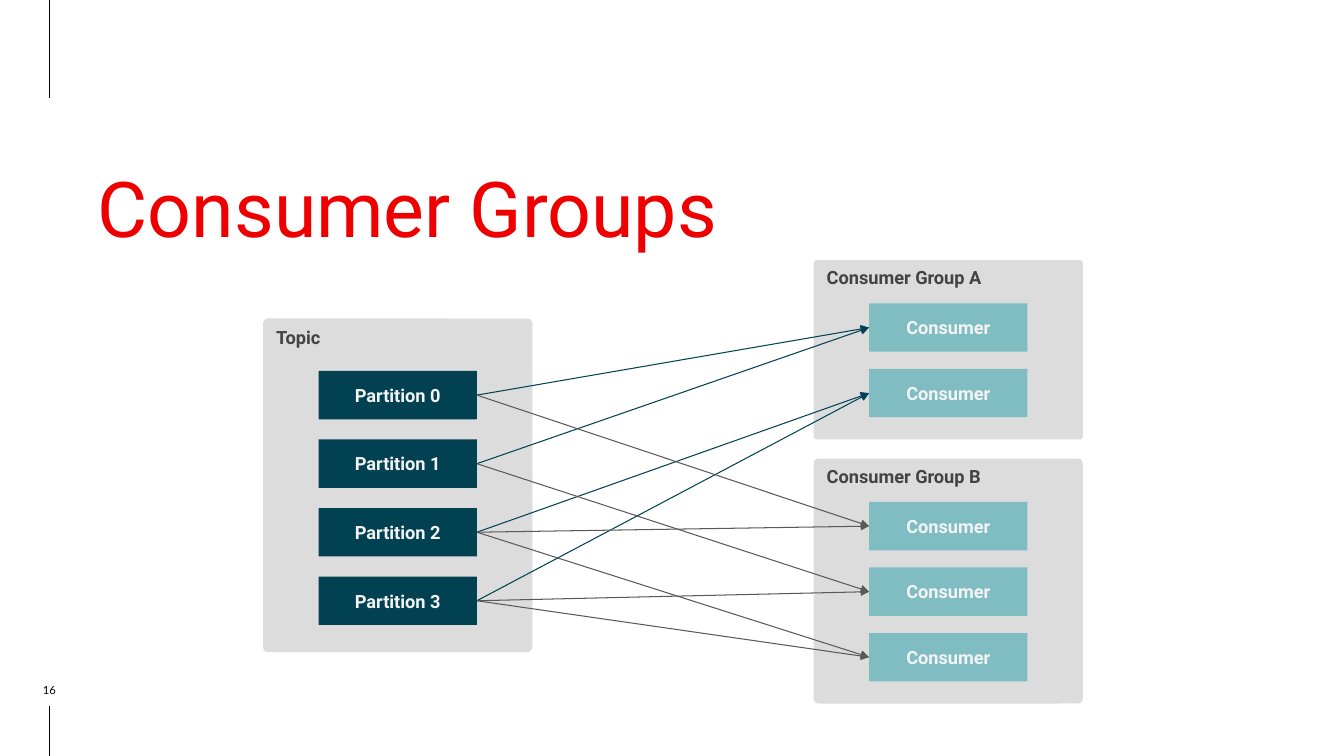
from dataclasses import dataclass

from lxml.etree import SubElement
from pptx import Presentation
from pptx.dml.color import RGBColor
from pptx.enum.shapes import MSO_CONNECTOR as Connector, MSO_SHAPE as Shape
from pptx.enum.text import MSO_ANCHOR as Anchor, PP_ALIGN as Align
from pptx.oxml.ns import qn
from pptx.util import Inches, Pt


@dataclass(frozen=True)
class Theme:
    title: str = "EE0000"
    black: str = "000000"
    panel: str = "DCDCDC"
    label: str = "434343"
    block_text: str = "F3F3F3"
    partition: str = "014152"
    consumer: str = "80BDC3"
    group_a_arrow: str = "004153"
    group_b_arrow: str = "595959"
    font: str = "Roboto"
    number_font: str = "Lato"
    title_size: int = 55
    body_size: int = 13
    number_size: int = 8
    line_width: float = 0.75


THEME = Theme()
PANEL_WIDTH = 2.67
BLOCK_WIDTH, BLOCK_HEIGHT = 1.57, 0.48
BLOCK_INDENT = 0.55
LABEL_HEIGHT = 0.23
PARTITION_PITCH, CONSUMER_PITCH = 0.68, 0.65
RIGHT_SIDE, LEFT_SIDE = 3, 1

GROUP_A_LINKS = [(0, 0), (1, 0), (2, 1), (3, 1)]
GROUP_B_LINKS = [(0, 0), (1, 1), (2, 2), (3, 2), (2, 0), (3, 1)]


def set_text(shape, text, color, size=THEME.body_size, font=THEME.font, bold=True,
             align=Align.LEFT, anchor=Anchor.MIDDLE, insets=(0.13,) * 4):
    left, top, right, bottom = map(Inches, insets)
    frame = shape.text_frame
    frame_format = {
        "word_wrap": True, "vertical_anchor": anchor, "margin_left": left,
        "margin_top": top, "margin_right": right, "margin_bottom": bottom,
    }
    for name, value in frame_format.items():
        setattr(frame, name, value)
    paragraph = frame.paragraphs[0]
    paragraph.alignment = align
    run = paragraph.add_run()
    run.text = text
    for name, value in {"name": font, "size": Pt(size), "bold": bold}.items():
        setattr(run.font, name, value)
    run.font.color.rgb = RGBColor.from_string(color)


def add_text(slide, box, text, color, **text_format):
    shape = slide.shapes.add_textbox(*map(Inches, box))
    set_text(shape, text, color, **text_format)


def add_box(slide, kind, box, fill):
    shape = slide.shapes.add_shape(kind, *map(Inches, box))
    shape.shadow.inherit = False
    shape.fill.solid()
    shape.fill.fore_color.rgb = RGBColor.from_string(fill)
    shape.line.fill.background()
    return shape


def add_line(slide, start, end, color):
    line = slide.shapes.add_connector(Connector.STRAIGHT, *map(Inches, start + end))
    line.line.color.rgb = RGBColor.from_string(color)
    line.line.width = Pt(THEME.line_width)
    SubElement(line._element.spPr, qn("a:effectLst"))
    return line


def add_arrow(slide, source, target, color):
    arrow = add_line(slide, (0, 0), (0, 0), color)
    arrow.begin_connect(source, RIGHT_SIDE)
    arrow.end_connect(target, LEFT_SIDE)
    SubElement(arrow.line._get_or_add_ln(), qn("a:tailEnd"), type="triangle")


def add_group(slide, left, top, height, label, names, fill, first_block, pitch, label_drop):
    panel = add_box(slide, Shape.ROUNDED_RECTANGLE, (left, top, PANEL_WIDTH, height), THEME.panel)
    panel.adjustments[0] = 0.019
    add_text(slide, (left, top + label_drop, PANEL_WIDTH, LABEL_HEIGHT), label, THEME.label)
    blocks = []
    for row, name in enumerate(names):
        box = (left + BLOCK_INDENT, top + first_block + row * pitch, BLOCK_WIDTH, BLOCK_HEIGHT)
        block = add_box(slide, Shape.RECTANGLE, box, fill)
        set_text(block, name, THEME.block_text, align=Align.CENTER)
        blocks.append(block)
    return blocks


def add_consumer_group(slide, top, height, label, count):
    return add_group(slide, 8.07, top, height, label, ["Consumer"] * count,
                     THEME.consumer, 0.43, CONSUMER_PITCH, 0.06)


def add_page_frame(slide):
    for start, end in ((0, 0.97), (7, 7.5)):
        add_line(slide, (0.49, start), (0.49, end), THEME.black)
    add_text(slide, (0.09, 6.75, 0.8, 0.16), "16", THEME.black, size=THEME.number_size,
             font=THEME.number_font, bold=False, align=Align.CENTER,
             anchor=Anchor.BOTTOM, insets=(0,) * 4)
    add_text(slide, (0.49, 1.49, 12.35, 4.8), "Consumer Groups", THEME.title,
             size=THEME.title_size, bold=False, anchor=Anchor.TOP,
             insets=(0.48, 0.1, 0.1, 0.1))


def main():
    presentation = Presentation()
    presentation.slide_width = Inches(13.33)
    presentation.slide_height = Inches(7.5)
    slide = presentation.slides.add_slide(presentation.slide_layouts[6])

    add_page_frame(slide)
    partitions = add_group(slide, 2.61, 3.16, 3.31, "Topic",
                           [f"Partition {number}" for number in range(4)],
                           THEME.partition, 0.52, PARTITION_PITCH, 0.07)
    group_a = add_consumer_group(slide, 2.58, 1.78, "Consumer Group A", 2)
    group_b = add_consumer_group(slide, 4.55, 2.43, "Consumer Group B", 3)
    for consumers, links, color in (
        (group_a, GROUP_A_LINKS, THEME.group_a_arrow),
        (group_b, GROUP_B_LINKS, THEME.group_b_arrow),
    ):
        for partition, consumer in links:
            add_arrow(slide, partitions[partition], consumers[consumer], color)

    presentation.save("out.pptx")


if __name__ == "__main__":
    main()
